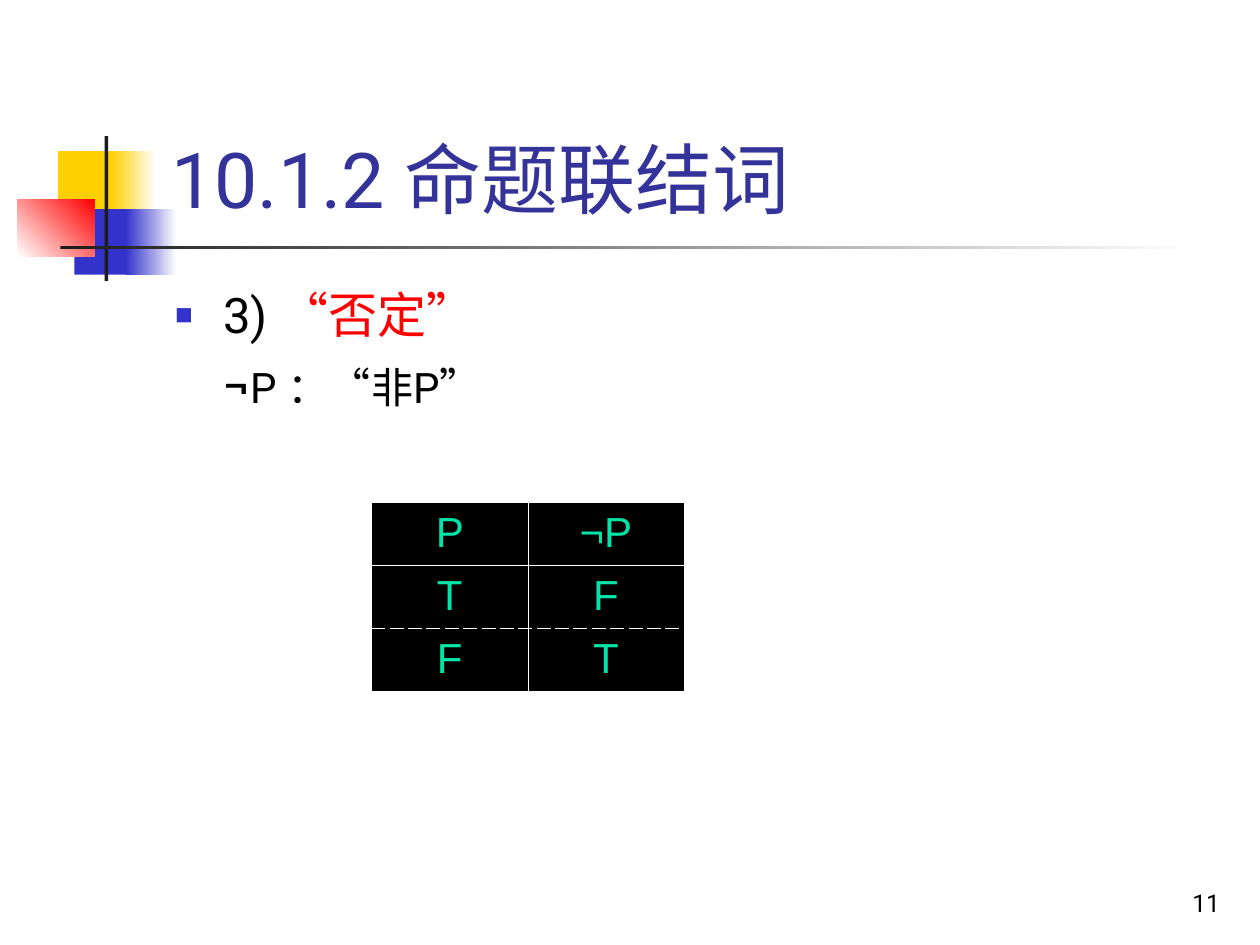
from lxml.etree import SubElement
from pptx import Presentation
from pptx.dml.color import RGBColor
from pptx.enum.shapes import MSO_SHAPE
from pptx.enum.text import MSO_ANCHOR, MSO_AUTO_SIZE, PP_ALIGN
from pptx.oxml.ns import qn
from pptx.util import Inches, Pt

COLORS = {
    "yellow": "FFCF01", "blue": "3333CC", "red": "FF0000", "dark": "1C1C1C",
    "white": "FFFFFF", "black": "000000", "title": "333399", "green": "00E4A8",
}


def rgb(name):
    """Return the named palette colour."""
    return RGBColor.from_string(COLORS[name])


def place(sp, box):
    """Move a shape to a left, top, width, height box in inches."""
    sp.left, sp.top, sp.width, sp.height = map(Inches, box)


def add_run(p, text, size, color, font="Roboto"):
    """Add one formatted run to a paragraph."""
    r = p.add_run()
    r.text = text
    r.font.size = Pt(size)
    r.font.name = font
    r.font.color.rgb = rgb(color)


def set_bullet(p, char=None, color=None, percent=100):
    """Set the indent of a list paragraph and its bullet, if any."""
    pPr = p._p.get_or_add_pPr()
    pPr.set("marL", str(Inches(0.38)))
    pPr.set("indent", str(Inches(-0.38 if char else 0)))
    if not char:
        SubElement(pPr, qn("a:buNone"))
        return
    clr = SubElement(pPr, qn("a:buClr"))
    SubElement(clr, qn("a:srgbClr"), val=COLORS[color])
    SubElement(pPr, qn("a:buSzPct"), val=str(percent * 1000))
    SubElement(pPr, qn("a:buFont"), typeface="Arial")
    SubElement(pPr, qn("a:buChar"), char=char)


def set_border(cell, side, dash="solid"):
    """Draw a thin white line on one side of a cell."""
    ln = SubElement(cell._tc.get_or_add_tcPr(), qn(f"a:ln{side}"), w=str(Pt(0.45)))
    fill = SubElement(ln, qn("a:solidFill"))
    SubElement(fill, qn("a:srgbClr"), val=COLORS["white"])
    SubElement(ln, qn("a:prstDash"), val=dash)


def add_block(s, box, start, end=None, angle=0):
    """Add a rectangle with a plain or two-colour gradient fill."""
    sp = s.shapes.add_shape(MSO_SHAPE.RECTANGLE, *map(Inches, box))
    sp.shadow.inherit = False
    sp.line.fill.background()
    if end is None:
        sp.fill.solid()
        sp.fill.fore_color.rgb = rgb(start)
        return
    sp.fill.gradient()
    sp.fill.gradient_angle = angle
    for stop, color, position in zip(sp.fill.gradient_stops, (start, end), (0, 1)):
        stop.color.rgb = rgb(color)
        stop.position = position


def add_ornament(s, box):
    """Add the coloured squares and crossed rules beside the title."""
    x, y, w, h = box
    add_block(s, (x + 0.32, y + 0.12, 0.48, 0.52), "yellow")
    add_block(s, (x + 0.74, y + 0.12, 0.36, 0.52), "yellow", "white")
    add_block(s, (x + 0.45, y + 0.58, 0.46, 0.52), "blue")
    add_block(s, (x + 0.86, y + 0.58, 0.4, 0.52), "blue", "white")
    add_block(s, (x, y + 0.5, 0.61, 0.46), "white", "red", 45)
    add_block(s, (x + 0.69, y, 0.03, h), "dark")
    add_block(s, (x + 0.34, y + 0.87, w - 0.34, 0.03), "dark", "white")


def fill_title(s, box, text):
    """Place and write the slide title."""
    sp = s.shapes.title
    place(sp, box)
    tf = sp.text_frame
    tf.auto_size = MSO_AUTO_SIZE.NONE
    tf.vertical_anchor = MSO_ANCHOR.BOTTOM
    p = tf.paragraphs[0]
    p.alignment = PP_ALIGN.LEFT
    add_run(p, text, 44, "title")


def fill_body(s, box):
    """Place and write the definition of negation."""
    sp = s.placeholders[1]
    place(sp, box)
    tf = sp.text_frame
    tf.auto_size = MSO_AUTO_SIZE.NONE
    p = tf.paragraphs[0]
    set_bullet(p, "■", "blue", 60)
    p.space_before = Pt(0)
    add_run(p, "3) ", 28, "black")
    add_run(p, "“否定”", 28, "red")
    p = tf.add_paragraph()
    set_bullet(p)
    p.space_before = Pt(6)
    add_run(p, "¬", 28, "black")
    add_run(p, "P ：“非P”", 24, "black")


def add_truth_table(s, box, rows):
    """Add a truth table with a dashed rule between its value rows."""
    frame = s.shapes.add_table(len(rows), len(rows[0]), *map(Inches, box))
    table = frame.table
    table.first_row = table.horz_banding = False
    for i, row in enumerate(rows):
        for j, text in enumerate(row):
            cell = table.cell(i, j)
            set_border(cell, "L")
            set_border(cell, "R")
            set_border(cell, "T", "dash" if i > 1 else "solid")
            set_border(cell, "B", "dash" if 0 < i < len(rows) - 1 else "solid")
            cell.fill.solid()
            cell.fill.fore_color.rgb = rgb("black")
            p = cell.text_frame.paragraphs[0]
            p.alignment = PP_ALIGN.CENTER
            add_run(p, text, 24, "green", "Arial")


def add_page_number(s, box, number):
    """Add the page number at the lower right."""
    tf = s.shapes.add_textbox(*map(Inches, box)).text_frame
    tf.word_wrap = True
    tf.vertical_anchor = MSO_ANCHOR.BOTTOM
    p = tf.paragraphs[0]
    p.alignment = PP_ALIGN.RIGHT
    add_run(p, number, 14, "black")


def main():
    """Build the slide and save it."""
    prs = Presentation()
    prs.slide_width, prs.slide_height = Inches(10), Inches(7.5)
    s = prs.slides.add_slide(prs.slide_layouts[1])
    add_ornament(s, (0.14, 1.08, 9.34, 1.15))
    fill_title(s, (1.26, 0.23, 8.52, 1.6), "10.1.2 命题联结词")
    fill_body(s, (1.29, 2.21, 8.5, 4.5))
    add_truth_table(s, (2.95, 3.99, 2.48, 1.5), [("P", "¬P"), ("T", "F"), ("F", "T")])
    add_page_number(s, (7.7, 6.83, 2.08, 0.5), "11")
    prs.save("out.pptx")


if __name__ == "__main__":
    main()
